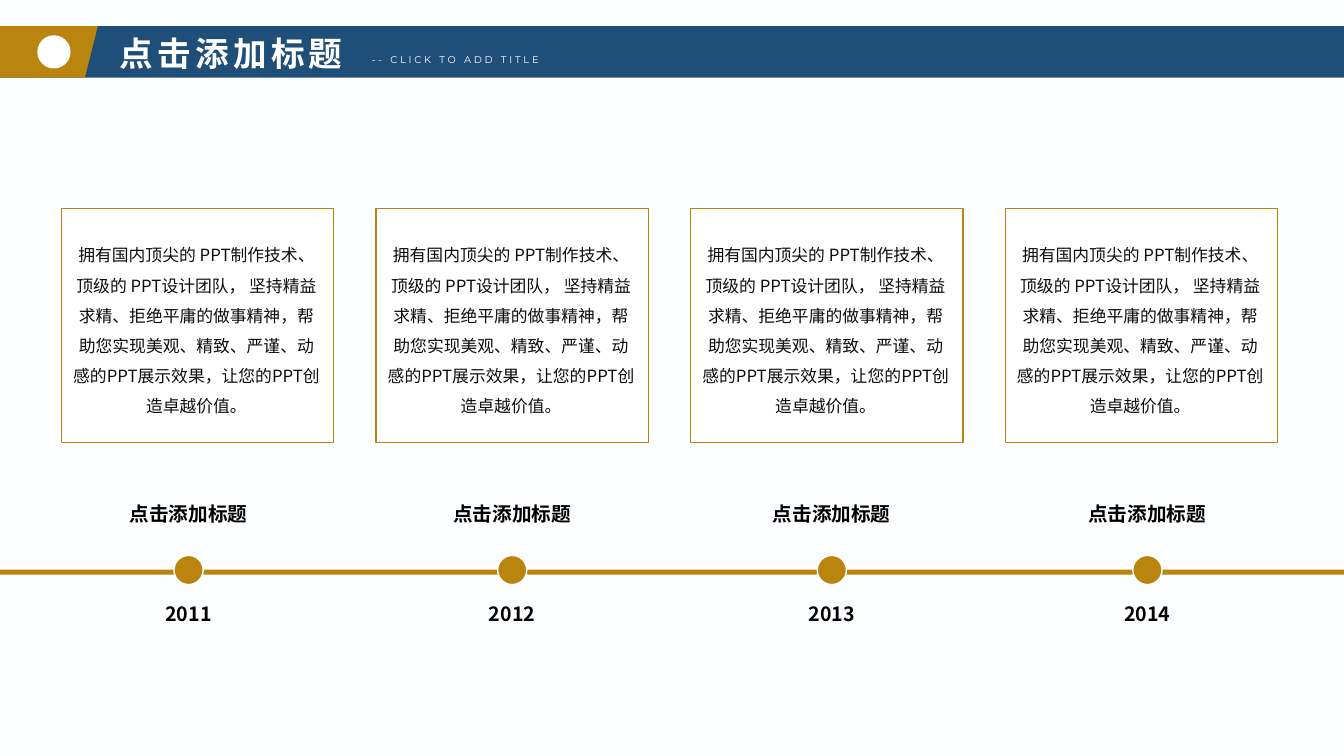
from lxml.etree import SubElement
from pptx import Presentation
from pptx.dml.color import RGBColor
from pptx.enum.shapes import MSO_SHAPE as SHAPE
from pptx.enum.text import MSO_ANCHOR as ANCHOR, PP_ALIGN as ALIGN
from pptx.oxml.ns import qn
from pptx.util import Inches, Pt

WIDTH, HEIGHT = 13.33, 7.5
COLORS = {"gold": "BA850E", "navy": "1F4E79", "white": "FFFFFF",
          "body": "0D0D0D", "black": "000000", "tint": "FDFEFF"}
CJK, LATIN = "Noto Sans CJK SC", "Montserrat"

HEADING = "点击添加标题"
SUBTITLE = "-- CLICK TO ADD TITLE"
BODY = ("拥有国内顶尖的 PPT制作技术、顶级的 PPT设计团队， 坚持精益求精、拒绝平庸的做事精神，"
        "帮助您实现美观、精致、严谨、动感的PPT展示效果，让您的PPT创造卓越价值。")
MILESTONES = [("2011", 1.87), ("2012", 5.08), ("2013", 8.25), ("2014", 11.38)]


def rgb(name):
    return RGBColor.from_string(COLORS[name])


def add_shape(s, kind, box, fill, line=None):
    sp = s.shapes.add_shape(kind, *map(Inches, box))
    sp.shadow.inherit = False
    sp.fill.solid()
    sp.fill.fore_color.rgb = rgb(fill)
    if line:
        sp.line.color.rgb = rgb(line)
        sp.line.width = Pt(1)
    else:
        sp.line.fill.background()
    return sp


def write(sp, text, size, color, font=CJK, bold=False, align=ALIGN.LEFT,
          spacing=None, tracking=0, anchor=ANCHOR.TOP):
    tf = sp.text_frame
    tf.word_wrap = True
    tf.vertical_anchor = anchor
    tf.margin_left = tf.margin_right = Inches(0.1)
    tf.margin_top = tf.margin_bottom = Inches(0.05)
    p = tf.paragraphs[0]
    p.text = text
    p.alignment = align
    if spacing:
        p.line_spacing = spacing
    p.font.size, p.font.bold, p.font.name = Pt(size), bold, font
    p.font.color.rgb = rgb(color)
    props = p._p.pPr.find(qn("a:defRPr"))
    props.set("spc", str(tracking * 100))
    SubElement(props, qn("a:ea")).set("typeface", font)


def add_text(s, box, text, size, color, **style):
    write(s.shapes.add_textbox(*map(Inches, box)), text, size, color, **style)


def add_background(s):
    fill = s.background.fill
    fill.gradient()
    fill.gradient_angle = 180
    for stop, name in zip(fill.gradient_stops, ("tint", "white")):
        stop.color.rgb = rgb(name)


def add_header(s, top, height):
    add_shape(s, SHAPE.PARALLELOGRAM, (-0.47, top, 14.28, height), "navy")
    add_shape(s, SHAPE.PARALLELOGRAM, (-0.4, top, 1.37, height), "gold")
    add_shape(s, SHAPE.OVAL, (0.37, top + 0.09, 0.33, 0.33), "white")
    title = s.shapes.title
    title.left, title.top, title.width, title.height = map(
        Inches, (1.09, top + 0.01, 2.93, height))
    write(title, HEADING, 24, "white", bold=True, tracking=3, anchor=ANCHOR.MIDDLE)
    s.shapes._spTree.append(title._element)
    add_text(s, (3.59, top + 0.22, 2.59, 0.22), SUBTITLE, 7, "white",
             font=LATIN, tracking=2)


def add_cards(s, left, top, width, height, pitch):
    for i in range(len(MILESTONES)):
        card = add_shape(s, SHAPE.RECTANGLE, (left + i * pitch, top, width, height),
                         "white", "gold")
        write(card, BODY, 12, "body", align=ALIGN.CENTER, spacing=1.5,
              anchor=ANCHOR.MIDDLE)
        card.text_frame.margin_right = Inches(0.12)


def add_timeline(s, top, label_width=1.77, label_height=0.34, dot=0.29):
    add_shape(s, SHAPE.RECTANGLE, (0, top + 0.72, WIDTH, 0.05), "gold")
    for year, center in MILESTONES:
        add_shape(s, SHAPE.OVAL, (center - dot / 2, top + 0.58, dot, dot), "gold", "white")
        for text, offset in ((HEADING, 0), (year, 0.99)):
            box = (center - label_width / 2, top + offset, label_width, label_height)
            add_text(s, box, text, 14, "black", bold=True, align=ALIGN.CENTER)


def main():
    prs = Presentation()
    prs.slide_width, prs.slide_height = Inches(WIDTH), Inches(HEIGHT)
    s = prs.slides.add_slide(prs.slide_layouts[5])
    add_background(s)
    add_header(s, 0.26, 0.51)
    add_cards(s, 0.61, 2.07, 2.7, 2.32, 3.12)
    add_timeline(s, 4.93)
    prs.save("out.pptx")


if __name__ == "__main__":
    main()
